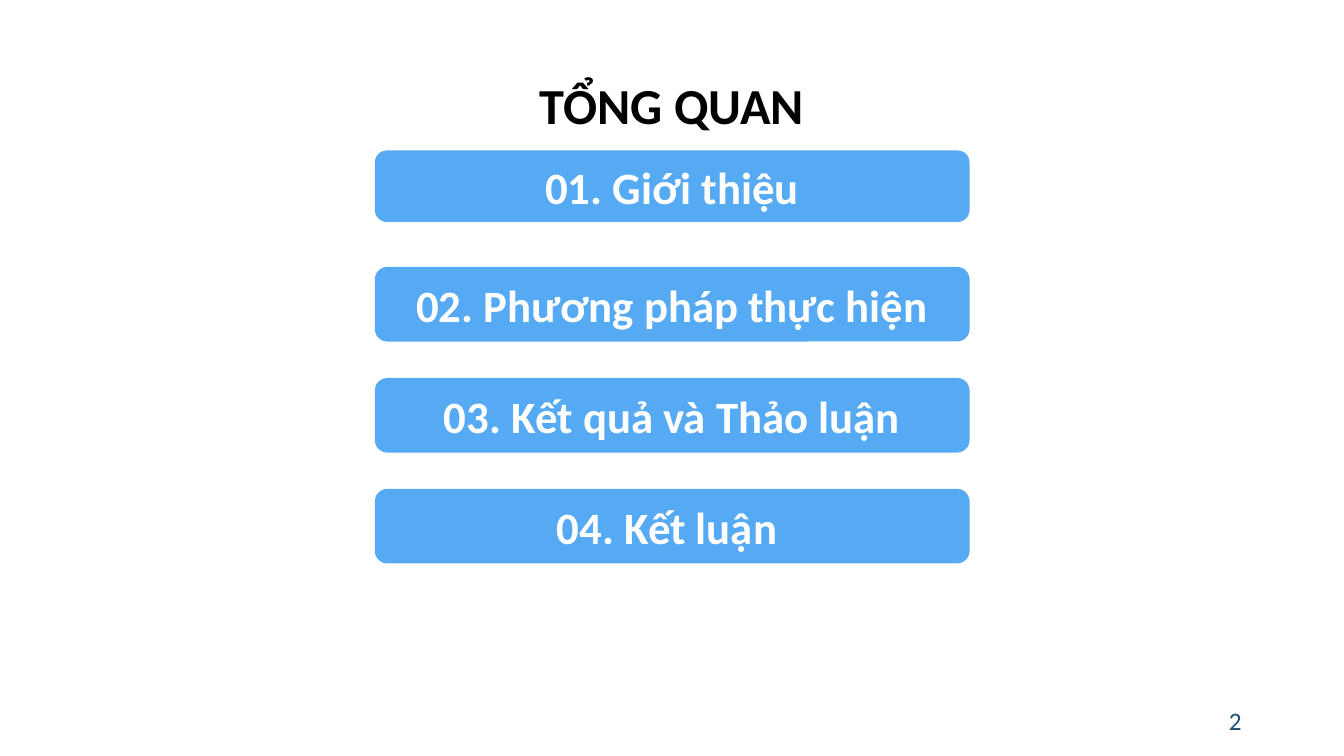
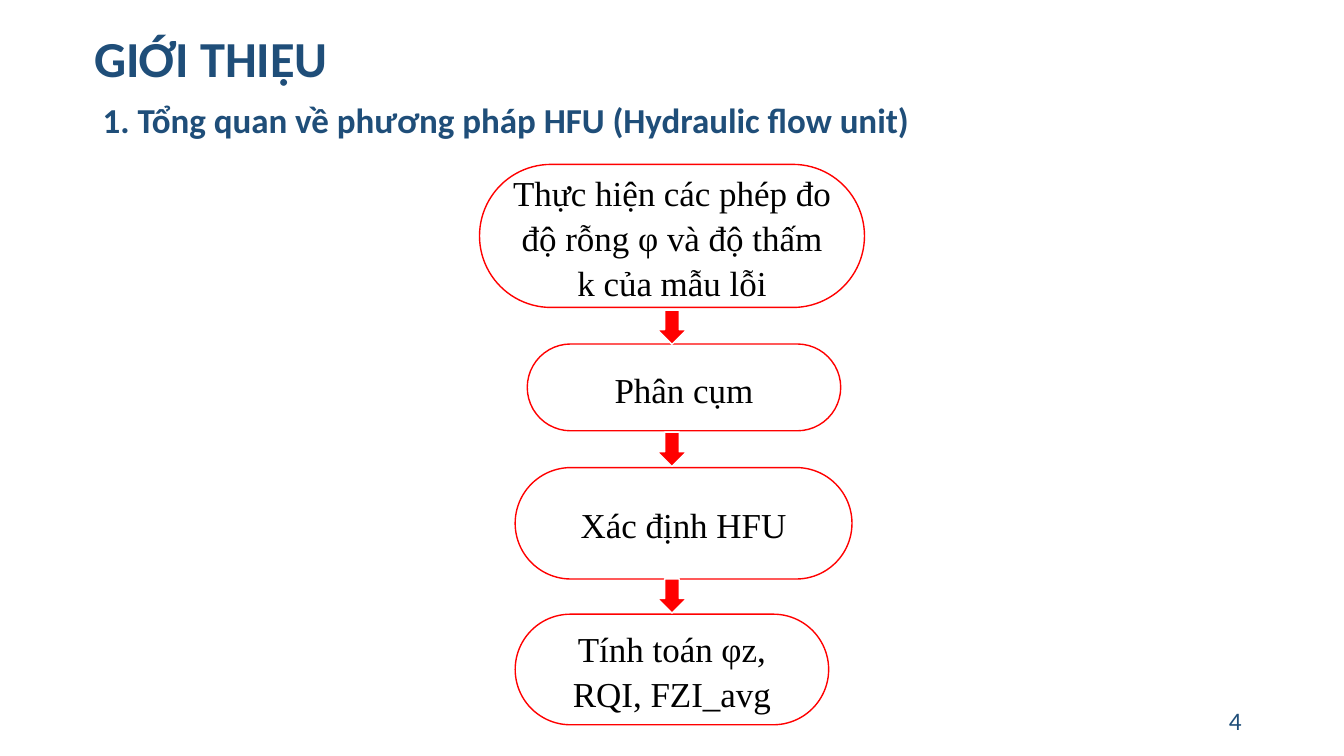
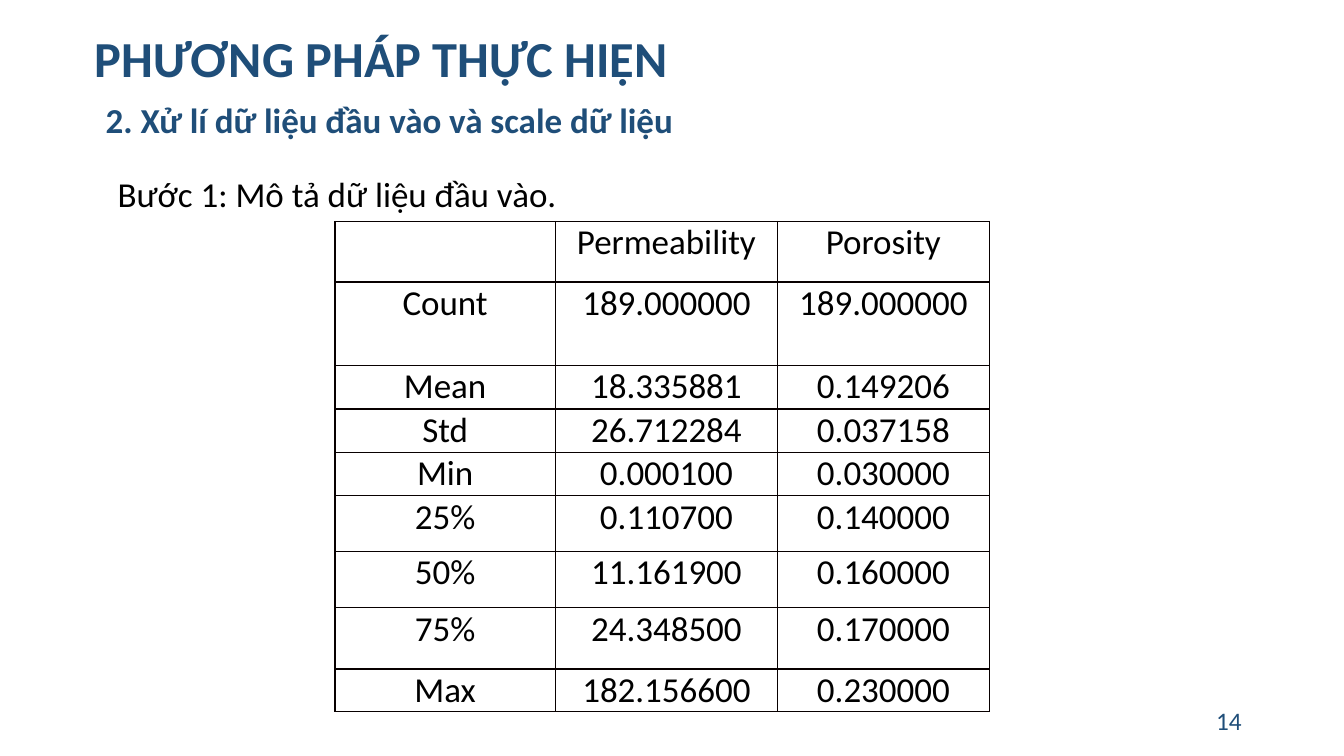
from lxml.etree import SubElement
from pptx import Presentation
from pptx.dml.color import RGBColor
from pptx.enum.shapes import MSO_SHAPE
from pptx.enum.text import MSO_ANCHOR, MSO_AUTO_SIZE, PP_ALIGN
from pptx.oxml.ns import qn
from pptx.util import Pt

COLORS = {
    "navy": "1F4E79", "black": "000000", "white": "FFFFFF",
    "sky": "56AAF3", "red": "FF0000", "border": "080000",
}
LEFT, CENTER, RIGHT = PP_ALIGN.LEFT, PP_ALIGN.CENTER, PP_ALIGN.RIGHT

# Text styles: font values, paragraph values and colour
STYLES = {
    "opening": ({"size": Pt(36), "name": "Calibri", "bold": True}, {"alignment": CENTER}, "black"),
    "title": ({"size": Pt(36), "name": "Calibri", "bold": True}, {"alignment": LEFT}, "navy"),
    "subtitle": ({"size": Pt(25), "name": "Calibri", "bold": True}, {"alignment": LEFT}, "navy"),
    "page": ({"size": Pt(18), "name": "Calibri"}, {"alignment": RIGHT}, "navy"),
    "agenda": ({"size": Pt(32), "name": "Calibri", "bold": True}, {"alignment": CENTER}, "white"),
    "step": ({"size": Pt(25), "name": "Times New Roman"},
             {"alignment": CENTER, "line_spacing": 1.08}, "black"),
    "body": ({"size": Pt(25), "name": "Calibri"}, {"alignment": LEFT, "line_spacing": 1.5}, "black"),
    "cell": ({"size": Pt(25), "name": "Calibri"}, {"alignment": CENTER}, "black"),
}


def write(frame, text, style, anchor=MSO_ANCHOR.TOP):
    font_values, paragraph_values, color = STYLES[style]
    frame.text = text
    frame.word_wrap = True
    frame.vertical_anchor = anchor
    paragraph = frame.paragraphs[0]
    for target, values in ((paragraph, paragraph_values), (paragraph.font, font_values)):
        for attribute, value in values.items():
            setattr(target, attribute, value)
    paragraph.font.color.rgb = RGBColor.from_string(COLORS[color])


def add_block(slide, preset, box, fill, line=None):
    block = slide.shapes.add_shape(preset, *map(Pt, box))
    block.shadow.inherit = False
    block.fill.solid()
    block.fill.fore_color.rgb = RGBColor.from_string(COLORS[fill])
    if line:
        block.line.color.rgb = RGBColor.from_string(COLORS[line])
        block.line.width = Pt(1)
    else:
        block.line.fill.background()
    return block


deck = Presentation()
deck.slide_width, deck.slide_height = Pt(960), Pt(540)

# Titles, subtitles and page numbers
TITLE_BOX = (60.5, 15.8, 840, 51)
pages = [
    ("TỔNG QUAN", "opening", (0, 49, 960, 51), "2", None, 0),
    ("GIỚI THIỆU", "title", TITLE_BOX, "4",
     "1. Tổng quan về phương pháp HFU (Hydraulic flow unit)", 66.2),
    ("PHƯƠNG PHÁP THỰC HIỆN", "title", TITLE_BOX, "14",
     "2. Xử lí dữ liệu đầu vào và scale dữ liệu", 68.4),
]
slides = []
for title, title_style, title_box, number, subtitle, subtitle_left in pages:
    slide = deck.slides.add_slide(deck.slide_layouts[5])
    heading = slide.shapes.title
    heading.left, heading.top, heading.width, heading.height = map(Pt, title_box)
    write(heading.text_frame, title, title_style)
    heading.text_frame.auto_size = MSO_AUTO_SIZE.NONE
    page_number = slide.shapes.add_textbox(Pt(678), Pt(500.5), Pt(216), Pt(28.8))
    write(page_number.text_frame, number, "page", MSO_ANCHOR.MIDDLE)
    if subtitle:
        subheading = slide.shapes.add_textbox(Pt(subtitle_left), Pt(67), Pt(620.6), Pt(37.4))
        write(subheading.text_frame, subtitle, "subtitle")
    slides.append(slide)
overview, introduction, method = slides

# Overview: agenda bars
agenda = [
    ("01. Giới thiệu", 107.5, 51), ("02. Phương pháp thực hiện", 190.7, 53.3),
    ("03. Kết quả và Thảo luận", 270, 53.3), ("04. Kết luận ", 349.2, 53.3),
]
for topic, top, height in agenda:
    bar = add_block(overview, MSO_SHAPE.ROUNDED_RECTANGLE, (267.8, top, 424.8, height), "sky")
    write(bar.text_frame, topic, "agenda", MSO_ANCHOR.MIDDLE)

# Introduction: flow of steps, then the arrows between them
steps = [
    ("Thực hiện các phép đo độ rỗng φ và độ thấm k của mẫu lỗi", (342.5, 117.4, 275, 102.2)),
    ("Phân cụm", (376.6, 245.7, 223.9, 62)),
    ("Xác định HFU", (368, 334, 240.6, 79.6)),
    ("Tính toán φz, RQI, FZI_avg", (368, 438.7, 223.9, 79)),
]
for step, box in steps:
    pill = add_block(introduction, MSO_SHAPE.ROUNDED_RECTANGLE, box, "white", "red")
    pill.adjustments[0] = 0.5
    write(pill.text_frame, step, "step", MSO_ANCHOR.MIDDLE)
for arrow_top in (221.5, 308.7, 413.5):
    add_block(introduction, MSO_SHAPE.DOWN_ARROW, (469.5, arrow_top, 20.9, 24.5), "red", "white")

# Method: caption and statistics of the input data
caption = method.shapes.add_textbox(Pt(77), Pt(104.4), Pt(352), Pt(37.4))
write(caption.text_frame, "Bước 1: Mô tả dữ liệu đầu vào.", "body")

statistics = [
    ("", "Permeability", "Porosity"),
    ("Count", "189.000000", "189.000000"),
    ("Mean", "18.335881", "0.149206"),
    ("Std", "26.712284", "0.037158"),
    ("Min", "0.000100", "0.030000"),
    ("25%", "0.110700", "0.140000"),
    ("50%", "11.161900", "0.160000"),
    ("75%", "24.348500", "0.170000"),
    ("Max", "182.156600", "0.230000"),
]
column_widths = (157.3, 158.8, 151.2)
row_heights = (43.2, 59.8, 31, 31, 31, 39.8, 40.3, 43.7, 30.5)
table = method.shapes.add_table(
    len(statistics), len(column_widths), Pt(239.3), Pt(158.2),
    Pt(sum(column_widths)), Pt(sum(row_heights))).table
table.first_row = table.horz_banding = False
for column, width in zip(table.columns, column_widths):
    column.width = Pt(width)
cell_margins = {"margin_left": Pt(5), "margin_right": Pt(5), "margin_top": 0, "margin_bottom": 0}
for row, height, values in zip(table.rows, row_heights, statistics):
    row.height = Pt(height)
    for cell, value in zip(row.cells, values):
        for attribute, margin in cell_margins.items():
            setattr(cell, attribute, margin)
        write(cell.text_frame, value, "cell")
        properties = cell._tc.get_or_add_tcPr()
        for side in ("a:lnL", "a:lnR", "a:lnT", "a:lnB"):
            border = SubElement(properties, qn(side), w=str(Pt(1)))
            SubElement(SubElement(border, qn("a:solidFill")), qn("a:srgbClr"), val=COLORS["border"])
        cell.fill.background()

deck.save("out.pptx")
